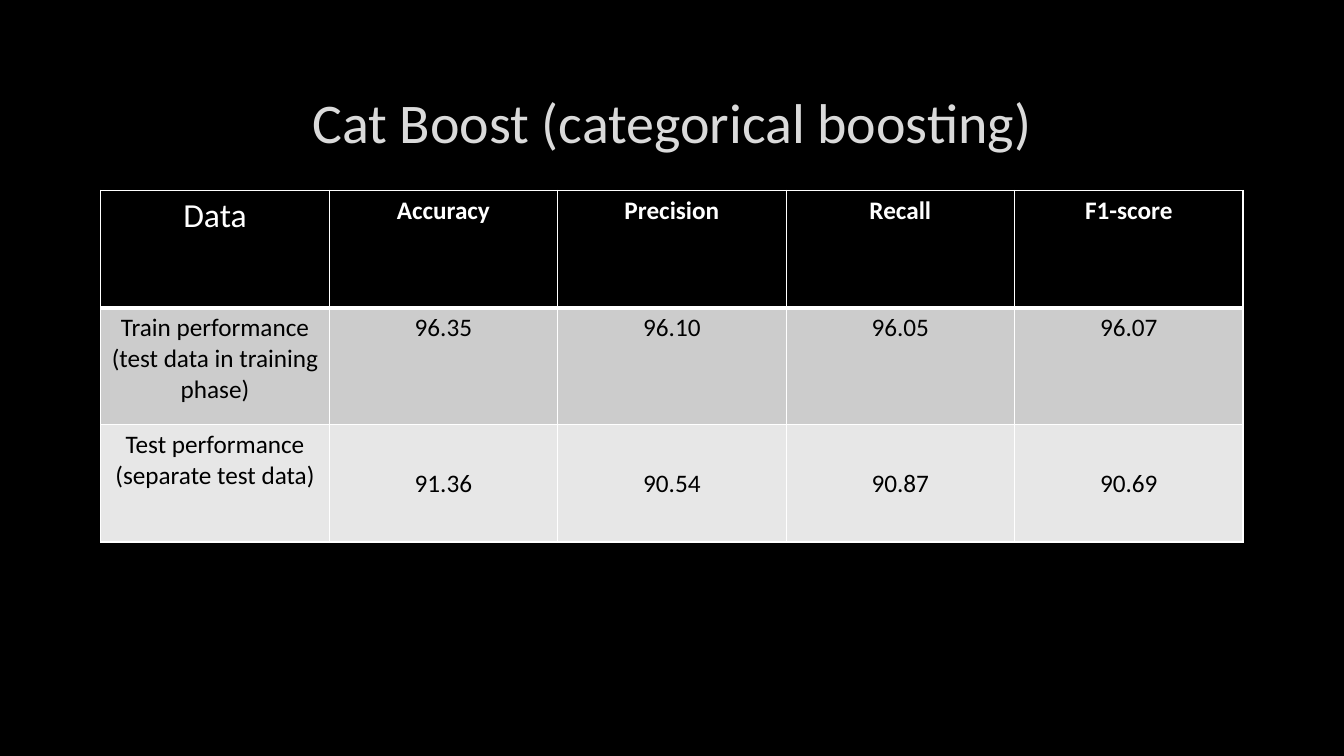
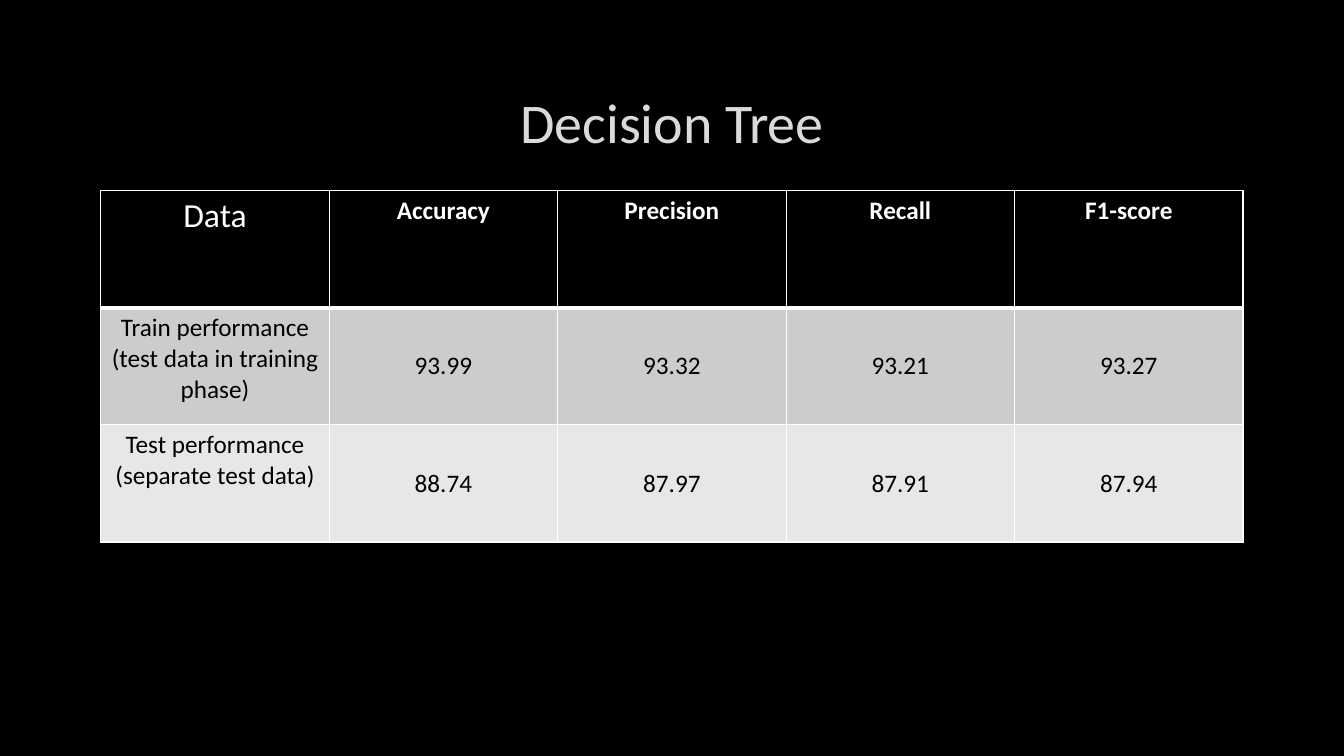
from lxml.etree import SubElement
from pptx import Presentation
from pptx.dml.color import RGBColor
from pptx.enum.text import MSO_ANCHOR as Anchor, PP_ALIGN as Align
from pptx.oxml import parse_xml
from pptx.oxml.ns import nsdecls, qn
from pptx.util import Inches, Pt

BLACK = RGBColor(0x00, 0x00, 0x00)
WHITE = RGBColor(0xFF, 0xFF, 0xFF)
TITLE_GRAY = RGBColor(0xDA, 0xDA, 0xDA)
OUTLINE_GRAY = RGBColor(0x40, 0x40, 0x40)
TRAIN_GRAY = RGBColor(0xCC, 0xCC, 0xCC)
TEST_GRAY = RGBColor(0xE7, 0xE7, 0xE7)

TITLE_FORMAT = {"size": Pt(40)}
CORNER_FORMAT = {"size": Pt(24), "bold": False}
HEADER_FORMAT = {"size": Pt(18), "bold": True}
BODY_FORMAT = {"size": Pt(18), "bold": False}
VALUE_CELL = {
    "vertical_anchor": Anchor.MIDDLE,
    "margin_left": Inches(0.08),
    "margin_right": Inches(0.08),
    "margin_top": Inches(0.04),
    "margin_bottom": Inches(0.04),
}

HEADINGS = ["Data", "Accuracy", "Precision", "Recall", "F1-score"]
TRAIN_LABEL = "Train performance\n(test data in training phase)"
TEST_LABEL = "Test performance\n(separate test data)"
ROW_FILLS = [BLACK, TRAIN_GRAY, TEST_GRAY]

RESULTS = [
    {
        "title": "Cat Boost (categorical boosting)",
        "train": ["96.35", "96.10", "96.05", "96.07"],
        "test": ["91.36", "90.54", "90.87", "90.69"],
        "middle_rows": [2],
    },
    {
        "title": "Decision Tree",
        "train": ["93.99", "93.32", "93.21", "93.27"],
        "test": ["88.74", "87.97", "87.91", "87.94"],
        "middle_rows": [1, 2],
    },
]


def write_text(frame, text, color, font_format):
    frame.text = text
    for paragraph in frame.paragraphs:
        paragraph.alignment = Align.CENTER
        for run in paragraph.runs:
            run.font.name = "Calibri"
            run.font.color.rgb = color
            for name, value in font_format.items():
                setattr(run.font, name, value)


def line_xml(tag, color, width, alpha=100):
    line = parse_xml(f'<a:{tag} {nsdecls("a")} w="{Pt(width)}"/>')
    fill = SubElement(line, qn("a:solidFill"))
    shade = SubElement(fill, qn("a:srgbClr"), val=str(color))
    if alpha < 100:
        SubElement(shade, qn("a:alpha"), val=str(alpha * 1000))
    return line


presentation = Presentation()
presentation.slide_width = Inches(13.33)
presentation.slide_height = Inches(7.5)
width, height = presentation.slide_width, presentation.slide_height

left = int(width * 0.075)
column_width = int(width * 0.17)
row_height = int(height * 0.155)
table_width = column_width * len(HEADINGS)
title_top, title_height = int(height * 0.09), int(height * 0.14)
table_top = int(height * 0.252)

for result in RESULTS:
    slide = presentation.slides.add_slide(presentation.slide_layouts[6])
    slide.background.fill.solid()
    slide.background.fill.fore_color.rgb = BLACK

    title = slide.shapes.add_textbox(left, title_top, table_width, title_height)
    title.text_frame.word_wrap = True
    title.text_frame.vertical_anchor = Anchor.MIDDLE
    write_text(title.text_frame, result["title"], TITLE_GRAY, TITLE_FORMAT)
    title_run = title.text_frame.paragraphs[0].runs[0]
    outline = line_xml("ln", OUTLINE_GRAY, 0.75, alpha=10)
    title_run._r.get_or_add_rPr().insert(0, outline)

    rows = [HEADINGS, [TRAIN_LABEL, *result["train"]], [TEST_LABEL, *result["test"]]]
    table = slide.shapes.add_table(
        len(rows), len(HEADINGS), left, table_top, table_width, row_height * len(rows)
    ).table
    for column in table.columns:
        column.width = column_width

    for row_index, (texts, row_fill) in enumerate(zip(rows, ROW_FILLS)):
        table.rows[row_index].height = row_height
        for column_index, text in enumerate(texts):
            cell = table.cell(row_index, column_index)
            cell.fill.solid()
            cell.fill.fore_color.rgb = row_fill
            if row_index == 0:
                font_format = HEADER_FORMAT if column_index else CORNER_FORMAT
                write_text(cell.text_frame, text, WHITE, font_format)
            else:
                write_text(cell.text_frame, text, BLACK, BODY_FORMAT)
            if column_index and row_index in result["middle_rows"]:
                for name, value in VALUE_CELL.items():
                    setattr(cell, name, value)

            border_widths = {
                "lnL": 1,
                "lnR": 1,
                "lnT": 3 if row_index == 1 else 1,
                "lnB": 3 if row_index == 0 else 1,
            }
            cell_properties = cell._tc.get_or_add_tcPr()
            for position, (tag, border_width) in enumerate(border_widths.items()):
                cell_properties.insert(position, line_xml(tag, WHITE, border_width))

presentation.save("out.pptx")
